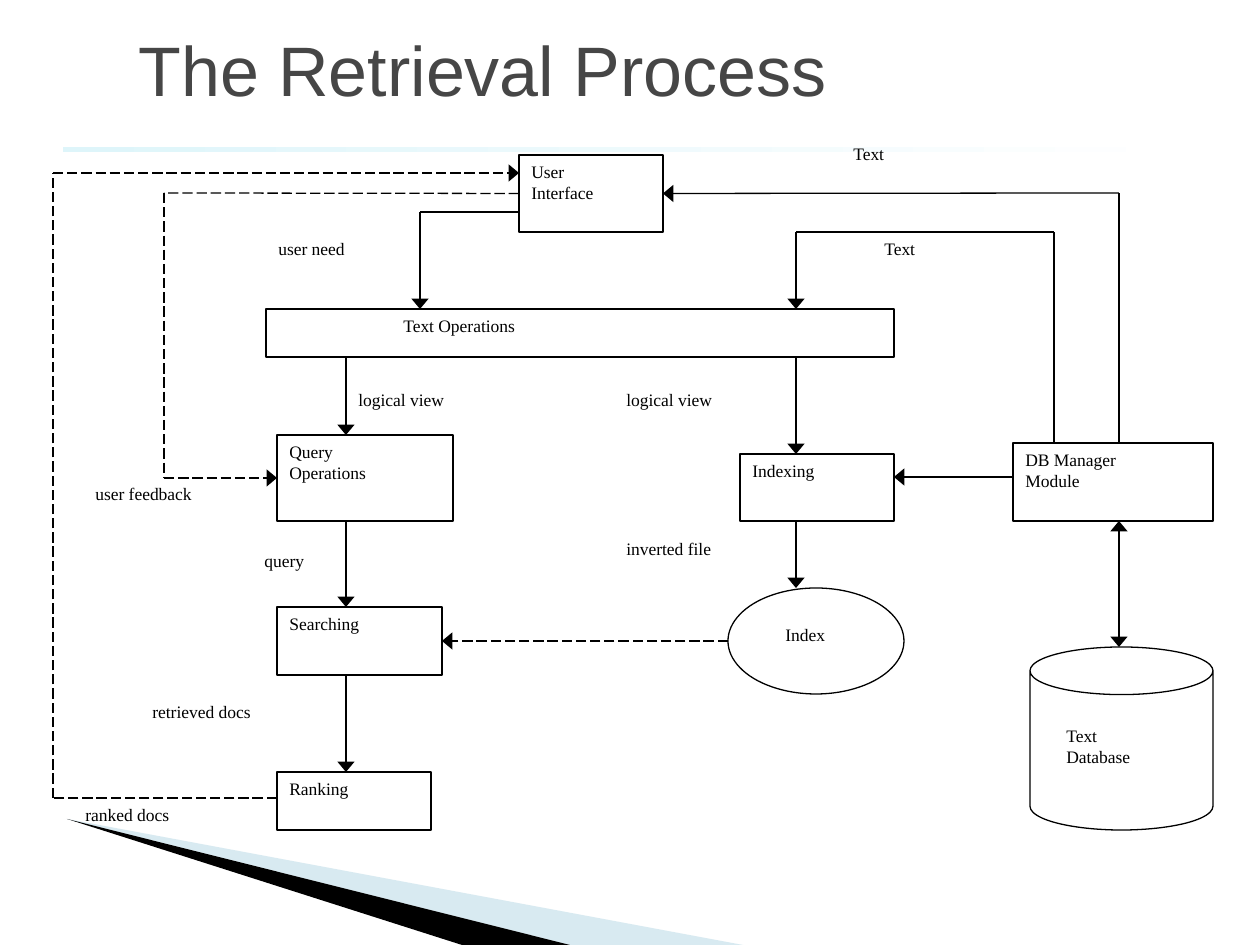
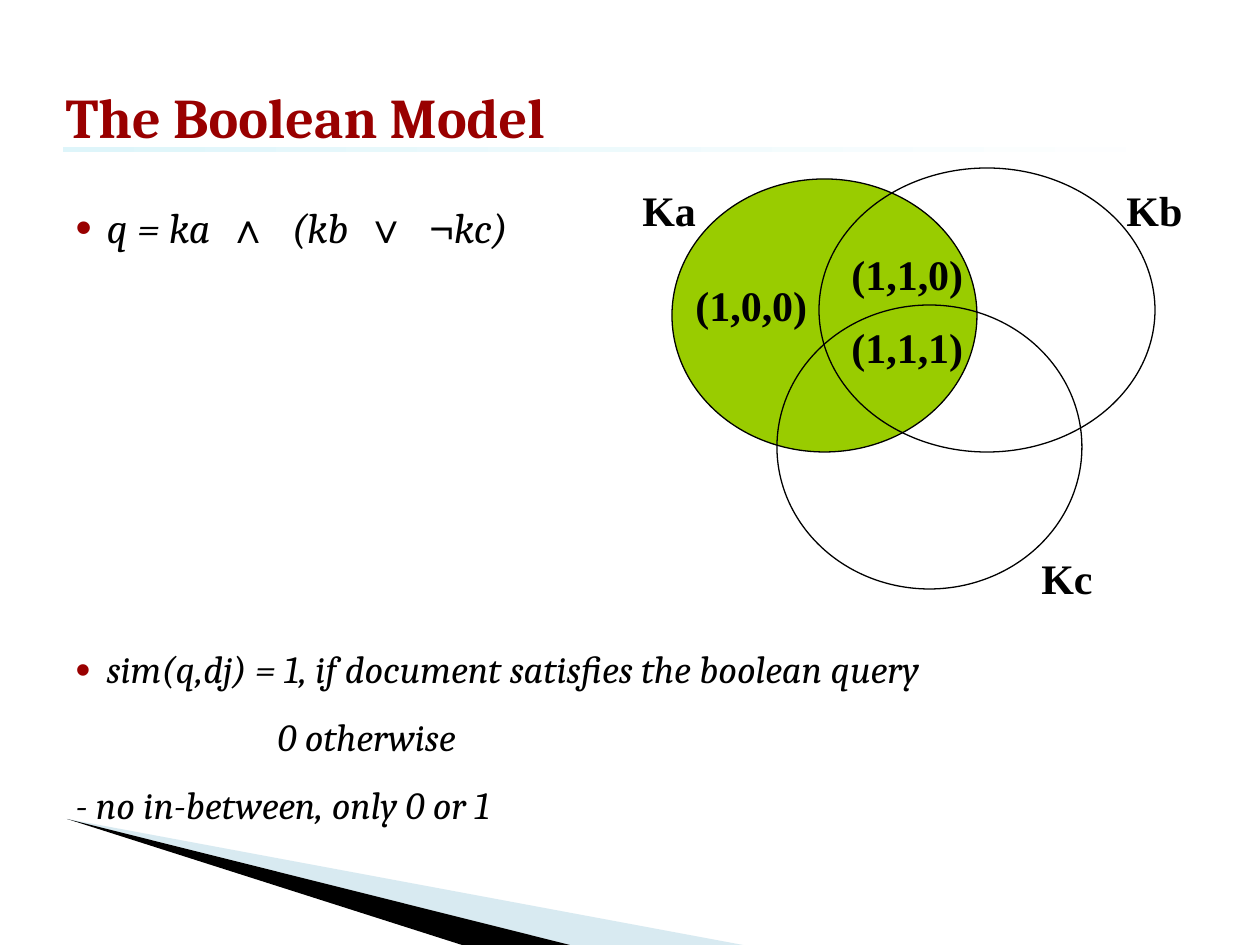
from dataclasses import dataclass
from typing import Any

from lxml import etree
from pptx import Presentation
from pptx import util as u
from pptx.dml.color import RGBColor
from pptx.enum import dml, shapes, text
from pptx.oxml import ns

SCALE = 914400 / 126
BLACK = RGBColor(0x00, 0x00, 0x00)
WHITE = RGBColor(0xFF, 0xFF, 0xFF)
GREY = RGBColor(0x46, 0x46, 0x46)
MAROON = RGBColor(0x99, 0x00, 0x00)
LIME = RGBColor(0x99, 0xCC, 0x00)
PALE_BLUE = RGBColor(0xDE, 0xF5, 0xFA)
WEDGE_BLUE = RGBColor(0x9F, 0xCB, 0xDC)
SERIF, SANS, HEADING = "Times New Roman", "Arial", "Cambria"
KIND = shapes.MSO_SHAPE


def px(length):
    return u.Emu(round(length * SCALE))


def add_xml(parent, tag, **attributes):
    return etree.SubElement(parent, ns.qn(tag), attributes)


def style_font(font, name=None, size=None, color=None, bold=None, italic=None):
    font.name, font.bold, font.italic = name, bold, italic
    if size:
        font.size = u.Pt(size)
    if color is not None:
        font.color.rgb = color


def write(frame, wording, size, bold=None, indent=0):
    frame.text = wording
    frame.vertical_anchor = text.MSO_ANCHOR.TOP
    for paragraph in frame.paragraphs:
        paragraph.alignment = text.PP_ALIGN.LEFT
        if indent:
            paragraph._p.get_or_add_pPr().set("marL", str(px(indent)))
        style_font(paragraph.font, SERIF, size, BLACK, bold)


@dataclass
class Region:
    slide: Any
    left: int
    top: int

    def at(self, x, y):
        return px(self.left + x), px(self.top + y)

    def figure(self, kind, x, y, width, height, fill=None):
        shape = self.slide.shapes.add_shape(
            kind, *self.at(x, y), px(width), px(height))
        shape.shadow.inherit = False
        if fill is None:
            shape.fill.background()
        else:
            shape.fill.solid()
            shape.fill.fore_color.rgb = fill
        shape.line.color.rgb = BLACK
        shape.line.width = u.Pt(0.75)
        return shape

    def stage(self, wording, x, y, width, height, indent=0):
        shape = self.figure(KIND.RECTANGLE, x, y, width, height, WHITE)
        write(shape.text_frame, wording, 10, indent=indent)
        return shape

    def label(self, wording, x, y, width, height, size, bold=None):
        box = self.slide.shapes.add_textbox(
            *self.at(x, y), px(width), px(height))
        box.text_frame.word_wrap = True
        write(box.text_frame, wording, size, bold)

    def route(self, *points, dashed=False, both_ends=False):
        legs = []
        for start, end in zip(points, points[1:]):
            leg = self.slide.shapes.add_connector(
                shapes.MSO_CONNECTOR.STRAIGHT, *self.at(*start), *self.at(*end))
            leg.line.color.rgb = BLACK
            leg.line.width = u.Pt(0.75)
            if dashed:
                leg.line.dash_style = dml.MSO_LINE.LONG_DASH
            add_xml(leg._element.spPr, "a:effectLst")
            legs.append(leg)
        outline = legs[-1].line._get_or_add_ln()
        for tag in ("a:headEnd", "a:tailEnd") if both_ends else ("a:tailEnd",):
            add_xml(outline, tag, type="triangle", w="lg", len="med")
        return legs


def add_wedge(slide, color, bottom_right, bottom_left, opacity=None):
    outline = slide.shapes.build_freeform(67, 819, scale=SCALE)
    outline.add_line_segments([(bottom_right, 945), (bottom_left, 945)])
    wedge = outline.convert_to_shape()
    wedge.shadow.inherit = False
    wedge.fill.solid()
    wedge.fill.fore_color.rgb = color
    wedge.line.fill.background()
    if opacity:
        tint = wedge._element.spPr.find(".//" + ns.qn("a:srgbClr"))
        add_xml(tint, "a:alpha", val=str(opacity * 1000))


def add_backdrop(slide):
    add_wedge(slide, WEDGE_BLUE, 743, 570, opacity=40)
    add_wedge(slide, BLACK, 570, 462)
    band = slide.shapes.add_shape(
        KIND.RECTANGLE, px(63), px(147), px(1134), px(5))
    band.shadow.inherit = False
    band.line.fill.background()
    band.fill.gradient()
    band.fill.gradient_angle = 0
    for stop, color in zip(band.fill.gradient_stops, (PALE_BLUE, WHITE)):
        stop.color.rgb = color


def place(placeholder, left, top, width, height, anchor):
    placeholder.left, placeholder.top = px(left), px(top)
    placeholder.width, placeholder.height = px(width), px(height)
    frame = placeholder.text_frame
    frame.auto_size = text.MSO_AUTO_SIZE.NONE
    frame.word_wrap = True
    frame.vertical_anchor = anchor
    return frame


def start_slide(deck, layout, title, box, spacing=1.0, **font):
    slide = deck.slides.add_slide(deck.slide_layouts[layout])
    add_backdrop(slide)
    frame = place(slide.shapes.title, *box, text.MSO_ANCHOR.MIDDLE)
    frame.text = title
    heading = frame.paragraphs[0]
    heading.alignment = text.PP_ALIGN.LEFT
    heading.line_spacing = spacing
    style_font(heading.font, **font)
    return slide


def draw_retrieval_flow(slide, left, top):
    flow = Region(slide, left, top)
    interface = flow.stage("User\nInterface", 469, 5, 144, 77)
    flow.stage("Text Operations", 216, 159, 628, 48, indent=125)
    query = flow.stage("Query\nOperations", 227, 285, 176, 86)
    flow.stage("Indexing", 690, 304, 154, 67)
    searching = flow.stage("Searching", 227, 457, 165, 68)
    flow.stage("Ranking", 227, 622, 154, 58)
    flow.stage("DB Manager\nModule", 963, 293, 200, 78)
    flow.figure(KIND.OVAL, 678, 438, 176, 106)
    database = flow.figure(KIND.CAN, 980, 497, 183, 183)
    database.adjustments[0] = 0.26

    query_x, index_x, database_x = 296, 746, 1069
    for x, y, end_y in (
        (query_x, 207, 285), (query_x, 371, 457), (query_x, 525, 622),
        (index_x, 207, 304), (index_x, 371, 438),
    ):
        flow.route((x, y), (x, end_y))
    flow.route((469, 62), (370, 62), (370, 159))
    flow.route((963, 327), (844, 327))
    flow.route((1004, 293), (1004, 82), (index_x, 82), (index_x, 159))
    flow.route((database_x, 497), (database_x, 371), both_ends=True)
    flow.route((227, 648), (3, 648), (3, 23), (469, 23), dashed=True)
    documents = flow.route((database_x, 293), (database_x, 43), (613, 43))
    documents[-1].end_connect(interface, 3)
    feedback = flow.route(
        (469, 43), (114, 43), (114, 328), (227, 328), dashed=True)
    feedback[0].begin_connect(interface, 1)
    feedback[-1].end_connect(query, 1)
    lookup = flow.route((678, 491), (392, 491), dashed=True)
    lookup[0].end_connect(searching, 3)

    for wording, x, y, width in (
        ("Text", 791, -13, 112), ("Text", 822, 82, 112),
        ("user need", 216, 82, 150), ("user feedback", 33, 327, 214),
        ("logical view", 296, 233, 183), ("logical view", 564, 233, 183),
        ("query", 202, 394, 94), ("inverted file", 564, 382, 199),
        ("retrieved docs", 90, 545, 207), ("ranked docs", 23, 648, 179),
        ("Index", 723, 468, 100), ("Text\nDatabase", 1004, 569, 141),
    ):
        flow.label(wording, x, y, width, 56, 10)


def draw_venn(slide, left, top):
    venn = Region(slide, left, top)
    venn.figure(KIND.OVAL, 42, 19, 305, 273, LIME)
    venn.figure(KIND.OVAL, 147, 145, 305, 284)
    venn.figure(KIND.OVAL, 189, 8, 336, 284)
    for wording, x, y, width in (
        ("(1,0,0)", 53, 113, 150), ("(1,1,0)", 209, 82, 150),
        ("(1,1,1)", 209, 155, 150), ("Ka", 0, 18, 100),
        ("Kb", 484, 18, 100), ("Kc", 399, 386, 100),
    ):
        venn.label(wording, x, y, width, 63, 24, bold=True)


def format_item(paragraph, size, before, bullet=False, indent=0):
    paragraph.alignment = text.PP_ALIGN.LEFT
    paragraph.line_spacing = 0.95
    paragraph.space_before = u.Pt(before)
    properties = paragraph._p.get_or_add_pPr()
    hang = px(31) if bullet else 0
    properties.set("marL", str(px(indent) + hang))
    properties.set("indent", str(-hang))
    if bullet:
        color = add_xml(properties, "a:buClr")
        add_xml(color, "a:srgbClr", val=str(MAROON))
        add_xml(properties, "a:buSzPct", val="110000")
        add_xml(properties, "a:buFont", typeface=SANS)
        add_xml(properties, "a:buChar", char="•")
    else:
        add_xml(properties, "a:buNone")
    style_font(paragraph.font, size=size, color=BLACK)


def write_boolean_rules(body, *box):
    frame = place(body, *box, text.MSO_ANCHOR.TOP)
    formula = frame.paragraphs[0]
    format_item(formula, 24, 15, bullet=True)
    for wording, is_term, tracking in (
        ("q = ka", True, 0), (" ∧ ", False, 300), ("(kb", True, 0),
        (" ∨ ", False, 300), ("¬", False, 0), ("kc)", True, 0),
    ):
        run = formula.add_run()
        run.text = wording
        style_font(run.font, HEADING if is_term else SANS, italic=is_term)
        if tracking:
            run._r.get_or_add_rPr().set("spc", str(tracking))
    for wording, before, bullet, indent in (
        ("sim(q,dj) = 1, if document satisfies the boolean query", 226, True, 0),
        ("0 otherwise", 13.8, False, 202),
        ("- no in-between, only 0 or 1", 13.8, False, 0),
    ):
        rule = frame.add_paragraph()
        rule.text = wording
        format_item(rule, 22, before, bullet, indent)
        style_font(rule.font, HEADING, italic=True)


def main():
    deck = Presentation()
    deck.slide_width, deck.slide_height = px(1260), px(945)

    retrieval = start_slide(
        deck, 5, "The Retrieval Process", (126, 21, 840, 95),
        name=SANS, size=40, color=GREY)
    draw_retrieval_flow(retrieval, 50, 150)

    boolean = start_slide(
        deck, 1, "The Boolean Model", (53, 73, 945, 95), spacing=0.9,
        name=HEADING, size=32, color=MAROON, bold=True)
    write_boolean_rules(boolean.placeholders[1], 63, 199, 1197, 640)
    draw_venn(boolean, 630, 160)

    deck.save("out.pptx")


if __name__ == "__main__":
    main()
